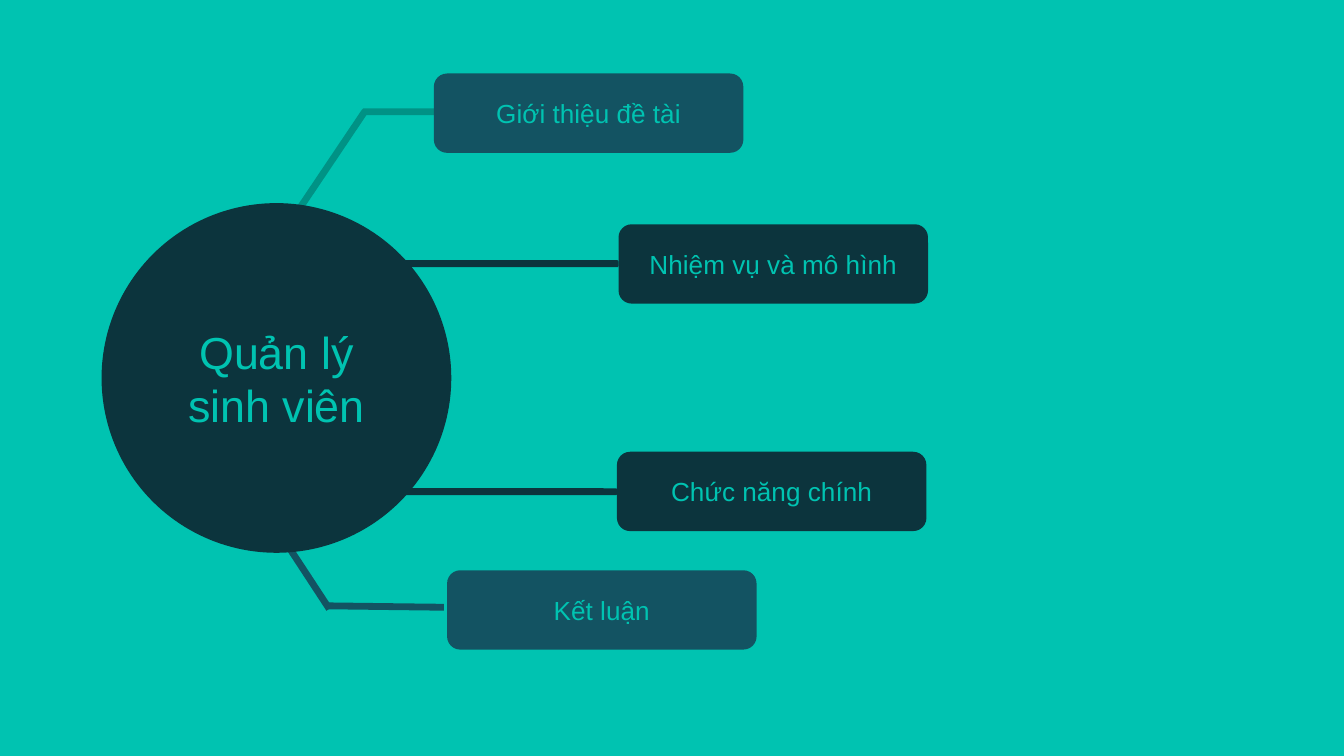
from typing import NamedTuple

from pptx import Presentation
from pptx.dml.color import RGBColor
from pptx.enum.shapes import MSO_SHAPE
from pptx.enum.text import MSO_ANCHOR, PP_ALIGN
from pptx.shapes.autoshape import Shape
from pptx.shapes.shapetree import GroupShapes, SlideShapes
from pptx.util import Cm, Pt

RECTANGLE = MSO_SHAPE.RECTANGLE
ROUNDED = MSO_SHAPE.ROUNDED_RECTANGLE
OVAL = MSO_SHAPE.OVAL
MIDDLE = MSO_ANCHOR.MIDDLE
CENTER = PP_ALIGN.CENTER

TURQUOISE = "00C3B1"
GREEN = "009285"
TEAL = "135362"
NAVY = "0C343D"

BOX_WIDTH, BOX_HEIGHT = 5.85, 1.5
BAR_HEIGHT = 0.13
HUB_SIZE = 6.61


class Bar(NamedTuple):
    left: float
    top: float
    width: float
    color: str
    rotation: float = 0
    kind: MSO_SHAPE = RECTANGLE


class Branch(NamedTuple):
    text: str
    left: float
    top: float
    color: str
    bars: list[Bar]


BRANCHES = [
    Branch("Giới thiệu đề tài", 8.2, 1.39, TEAL, [
        Bar(5.18, 2.95, 2.21, GREEN, 303.9),
        Bar(6.86, 2.05, 1.35, GREEN),
    ]),
    Branch("Kết luận", 8.45, 10.78, TEAL, [
        Bar(6.18, 11.4, 2.21, TEAL, 180.7),
        Bar(5.18, 10.88, 1.35, TEAL, 236.8),
    ]),
    Branch("Nhiệm vụ và mô hình", 11.69, 4.24, NAVY, [
        Bar(7.52, 4.92, 4.17, NAVY, kind=ROUNDED),
    ]),
    Branch("Chức năng chính", 11.66, 8.54, NAVY, [
        Bar(7.49, 9.23, 4.17, NAVY, kind=ROUNDED),
    ]),
]


def rgb(color: str) -> RGBColor:
    return RGBColor.from_string(color)


def add_solid(shapes: SlideShapes | GroupShapes, kind: MSO_SHAPE, left: float,
              top: float, width: float, height: float, color: str) -> Shape:
    """Add a filled shape without outline or shadow; lengths in cm."""
    shape = shapes.add_shape(kind, Cm(left), Cm(top), Cm(width), Cm(height))
    shape.shadow.inherit = False
    shape.fill.solid()
    shape.fill.fore_color.rgb = rgb(color)
    shape.line.fill.background()
    return shape


def write_label(shape: Shape, text: str, size: int) -> None:
    frame = shape.text_frame
    frame.word_wrap = True
    frame.vertical_anchor = MIDDLE
    paragraph = frame.paragraphs[0]
    paragraph.text = text
    paragraph.alignment = CENTER
    paragraph.font.name = "Arial"
    paragraph.font.size = Pt(size)
    paragraph.font.color.rgb = rgb(TURQUOISE)


def add_branch(shapes: SlideShapes, branch: Branch) -> None:
    group = shapes.add_group_shape()
    for bar in branch.bars:
        shape = add_solid(group.shapes, bar.kind, bar.left, bar.top,
                          bar.width, BAR_HEIGHT, bar.color)
        shape.rotation = bar.rotation
    box = add_solid(group.shapes, ROUNDED, branch.left, branch.top,
                    BOX_WIDTH, BOX_HEIGHT, branch.color)
    write_label(box, branch.text, 14)


def main() -> None:
    presentation = Presentation()
    presentation.slide_width = Cm(25.4)
    presentation.slide_height = Cm(14.29)
    slide = presentation.slides.add_slide(presentation.slide_layouts[6])
    slide.background.fill.solid()
    slide.background.fill.fore_color.rgb = rgb(TURQUOISE)

    for branch in BRANCHES:
        add_branch(slide.shapes, branch)
    hub = add_solid(slide.shapes, OVAL, 1.92, 3.84, HUB_SIZE, HUB_SIZE, NAVY)
    write_label(hub, "Quản lý sinh viên", 24)

    presentation.save("out.pptx")


if __name__ == "__main__":
    main()
